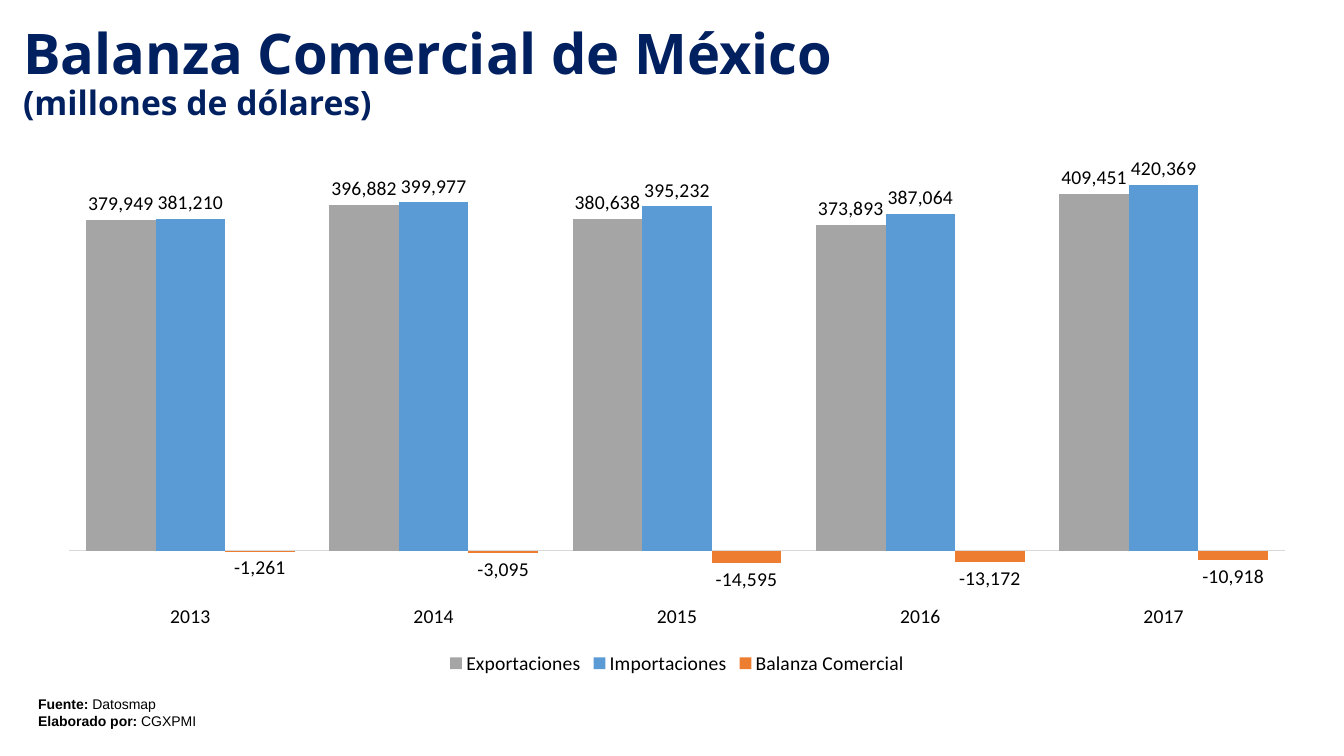
import pptx
import pptx.util
import pptx.dml.color
import pptx.chart.data
import pptx.enum.chart
import pptx.enum.text
import pptx.oxml

HEAD = [[("Balanza Comercial de México", 40, True)],
        [("(millones de dólares)", 24, True)]]
NOTES = [[("Fuente: ", 10, True), ("Datosmap", 10, False)],
         [("Elaborado por: ", 10, True), ("CGXPMI", 10, False)]]
YEARS = ["2013", "2014", "2015", "2016", "2017"]
SERIES = [
    ("Exportaciones", "A5A5A5", [379949, 396882, 380638, 373893, 409451]),
    ("Importaciones", "5B9BD5", [381210, 399977, 395232, 387064, 420369]),
    ("Balanza Comercial", "ED7D31", [-1261, -3095, -14595, -13172, -10918]),
]
UNIT = 1000
MASK = "#,###,"
PLOT = {"x": 0.02, "y": 0.02, "w": 0.96, "h": 0.82}
WIDE, HIGH = 13.33, 7.5

enum = pptx.enum.chart
Pt = pptx.util.Pt


def color(code):
    return pptx.dml.color.RGBColor.from_string(code)


def apply(item, style):
    for name, value in style.items():
        setattr(item, name, value)


def font(item, size, face, code, bold=False):
    apply(item, {"size": Pt(size), "name": face, "bold": bold})
    item.color.rgb = color(code)


def place(*box):
    return [pptx.util.Inches(n) for n in box]


def write(box, lines, face, code, anchor, joined=False):
    frame = slide.shapes.add_textbox(*place(*box)).text_frame
    apply(frame, {"word_wrap": True, "vertical_anchor": anchor})
    para = frame.paragraphs[0]
    for row, line in enumerate(lines):
        if row and joined:
            para.add_line_break()
        elif row:
            para = frame.add_paragraph()
        for text, size, bold in line:
            run = para.add_run()
            run.text = text
            font(run.font, size, face, code, bold)
    if joined:
        para.line_spacing = 0.9


deck = pptx.Presentation()
apply(deck, dict(zip(("slide_width", "slide_height"), place(WIDE, HIGH))))
slide = deck.slides.add_slide(deck.slide_layouts[6])

anchors = pptx.enum.text.MSO_ANCHOR
write((0.13, 0.01, 9.68, 1.45), HEAD, "Noto Sans", "002060", anchors.MIDDLE, True)
write((0.28, 6.85, 5.59, 0.44), NOTES, "Arial", "000000", anchors.TOP)

data = pptx.chart.data.CategoryChartData(number_format=MASK)
data.categories = YEARS
for name, code, values in SERIES:
    data.add_series(name, [value * UNIT for value in values])
chart = slide.shapes.add_chart(
    enum.XL_CHART_TYPE.COLUMN_CLUSTERED, *place(0.43, 1.47, 12.57, 5.27), data).chart
apply(chart, {"has_title": False, "has_legend": True})
font(chart.font, 14, "Calibri", "000000")
apply(chart.legend, {"position": enum.XL_LEGEND_POSITION.BOTTOM, "include_in_layout": False})
font(chart.legend.font, 14, "Calibri", "000000")

years = chart.category_axis
apply(years, {"tick_label_position": enum.XL_TICK_LABEL_POSITION.LOW,
              "major_tick_mark": enum.XL_TICK_MARK.NONE})
font(years.tick_labels.font, 14, "Calibri", "000000")
years.format.line.color.rgb = color("D9D9D9")
years.format.line.width = Pt(0.75)
apply(chart.value_axis, {"visible": False, "has_major_gridlines": False,
                         "minimum_scale": -50000 * UNIT, "maximum_scale": 450000 * UNIT})
apply(chart.value_axis.tick_labels, {"number_format": MASK, "number_format_is_linked": False})

plot = chart.plots[0]
apply(plot, {"gap_width": 50, "overlap": 0, "vary_by_categories": False})
for bars, (name, code, values) in zip(plot.series, SERIES):
    bars.invert_if_negative = False
    bars.format.fill.solid()
    bars.format.fill.fore_color.rgb = color(code)
    labels = bars.data_labels
    apply(labels, {"show_value": True, "number_format": MASK,
                   "number_format_is_linked": False,
                   "position": enum.XL_LABEL_POSITION.OUTSIDE_END})
    font(labels.font, 14, "Calibri", "000000")

area = chart._chartSpace.chart.plotArea
for old in area.findall(pptx.oxml.ns.qn("c:layout")):
    area.remove(old)
sizes = "".join(f'<c:{key} val="{value}"/>' for key, value in PLOT.items())
area.insert(0, pptx.oxml.parse_xml(
    f'<c:layout {pptx.oxml.ns.nsdecls("c")}><c:manualLayout><c:layoutTarget val="inner"/>'
    f'<c:xMode val="edge"/><c:yMode val="edge"/>{sizes}</c:manualLayout></c:layout>'))

deck.save("out.pptx")
